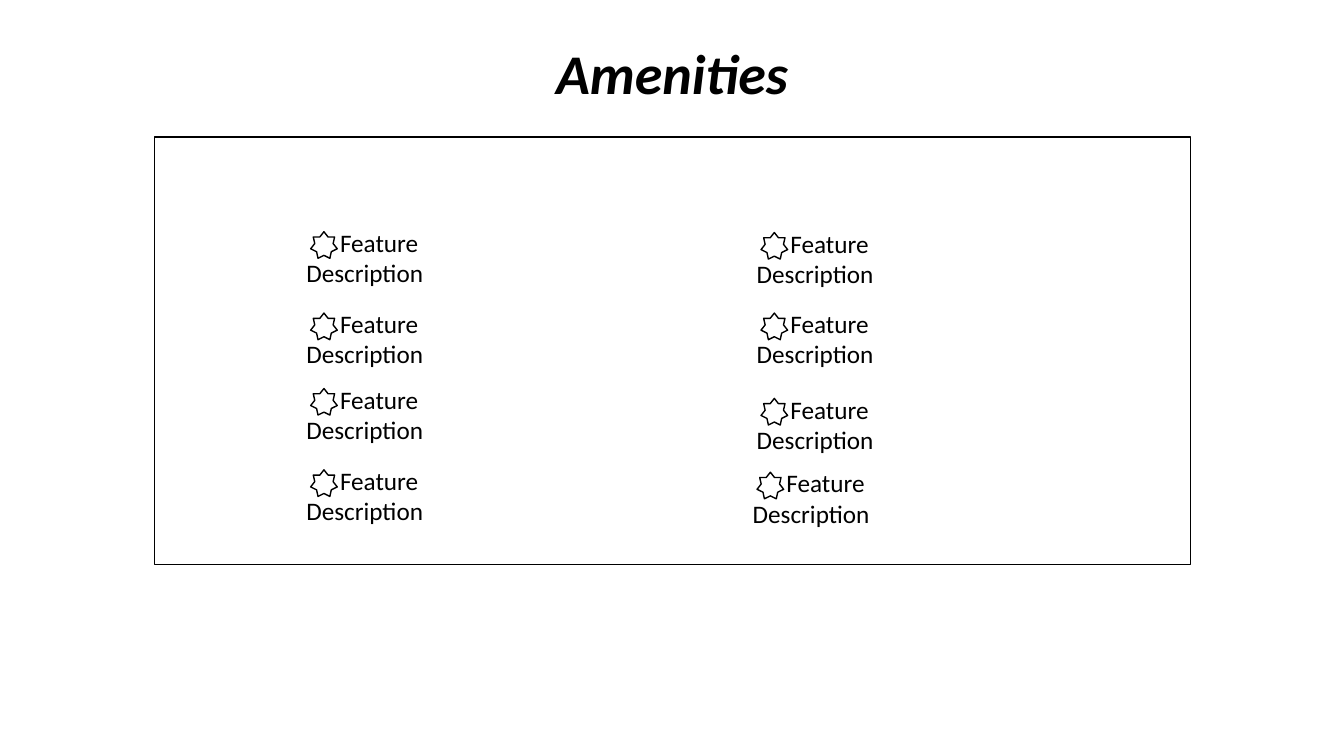
import pptx
import pptx.util
import pptx.dml.color
import pptx.enum.shapes
import pptx.enum.text

Cm, Pt = pptx.util.Cm, pptx.util.Pt
SHAPE = pptx.enum.shapes.MSO_SHAPE
ALIGN = pptx.enum.text.PP_ALIGN
ANCHOR = pptx.enum.text.MSO_ANCHOR
FIT = pptx.enum.text.MSO_AUTO_SIZE

TITLE = "Amenities"
AMENITY = ("Feature", "Description")
POSITIONS = [
    (7.47, 5.6), (7.47, 7.65), (7.47, 9.55), (7.47, 11.6),
    (18.82, 5.62), (18.82, 7.65), (18.82, 9.8), (18.72, 11.66),
]
COLORS = {"ink": "000000", "paper": "FFFFFF"}
FONT = "Calibri"
STAR_SIZE = 0.67
STAR_DX, STAR_DY = 0.36, 0.24
FEATURE_INDENT = 0.85


def rgb(name):
    return pptx.dml.color.RGBColor.from_string(COLORS[name])


def add_outline(kind, x, y, w, h):
    sp = s.shapes.add_shape(kind, Cm(x), Cm(y), Cm(w), Cm(h))
    sp.shadow.inherit = False
    sp.fill.solid()
    sp.fill.fore_color.rgb = rgb("paper")
    sp.line.color.rgb = rgb("ink")
    sp.line.width = Pt(1)


def set_text(tf, lines, size, bold=False, italic=False, align=ALIGN.LEFT):
    tf.word_wrap = True
    tf.auto_size = FIT.SHAPE_TO_FIT_TEXT
    tf.vertical_anchor = ANCHOR.TOP
    tf.text = "\n".join(lines)
    for p in tf.paragraphs:
        p.alignment = align
        p.font.name = FONT
        p.font.size = Pt(size)
        p.font.bold = bold
        p.font.italic = italic
        p.font.color.rgb = rgb("ink")


def add_amenity(x, y):
    tb = s.shapes.add_textbox(Cm(x), Cm(y), Cm(10.67), Cm(1.8))
    set_text(tb.text_frame, AMENITY, 18)
    pPr = tb.text_frame.paragraphs[0]._p.get_or_add_pPr()
    pPr.set("indent", str(Cm(FEATURE_INDENT)))
    add_outline(SHAPE.STAR_7_POINT, x + STAR_DX, y + STAR_DY, STAR_SIZE, STAR_SIZE)


prs = pptx.Presentation()
prs.slide_width, prs.slide_height = Cm(33.87), Cm(19.05)
s = prs.slides.add_slide(prs.slide_layouts[5])

title = s.shapes.title
title.left, title.top = Cm(0), Cm(0.84)
title.width, title.height = prs.slide_width, Cm(1.96)
set_text(title.text_frame, [TITLE], 40, bold=True, italic=True, align=ALIGN.CENTER)

add_outline(SHAPE.RECTANGLE, 3.89, 3.45, 26.11, 10.77)
for x, y in POSITIONS:
    add_amenity(x, y)

prs.save("out.pptx")
